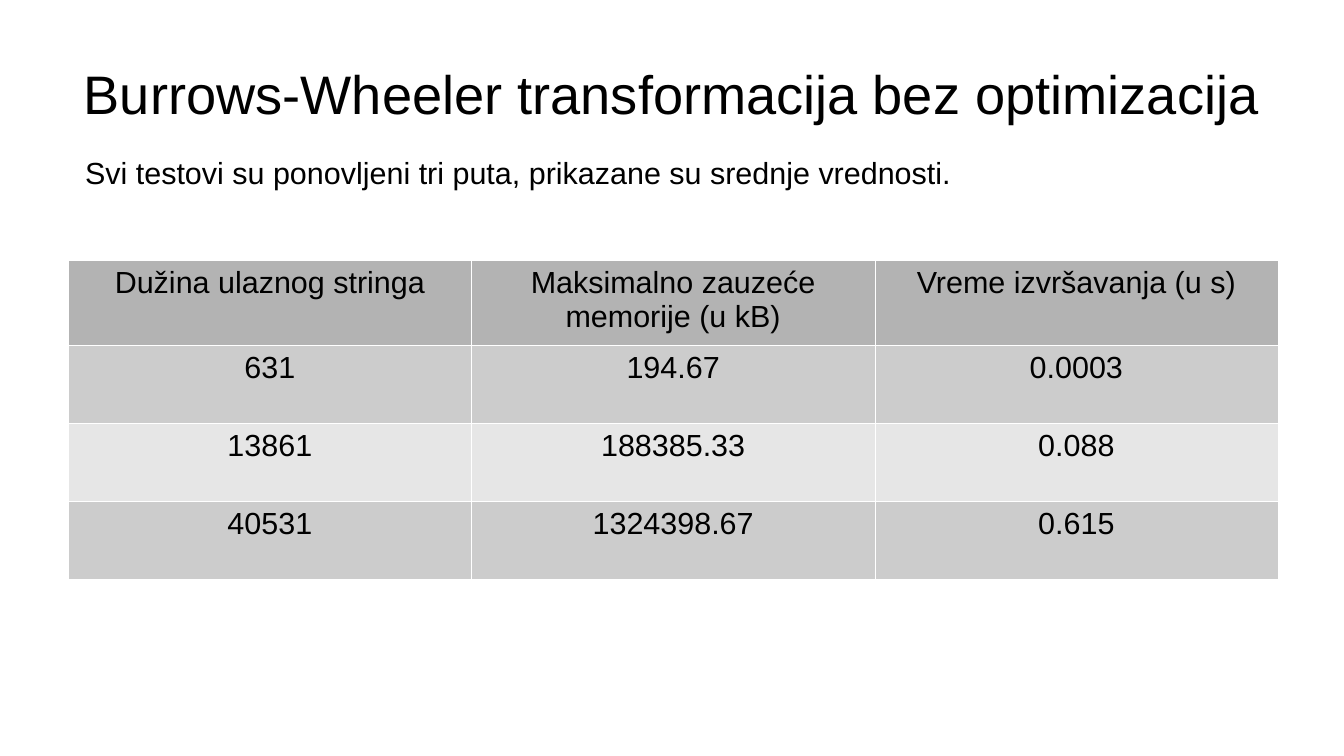
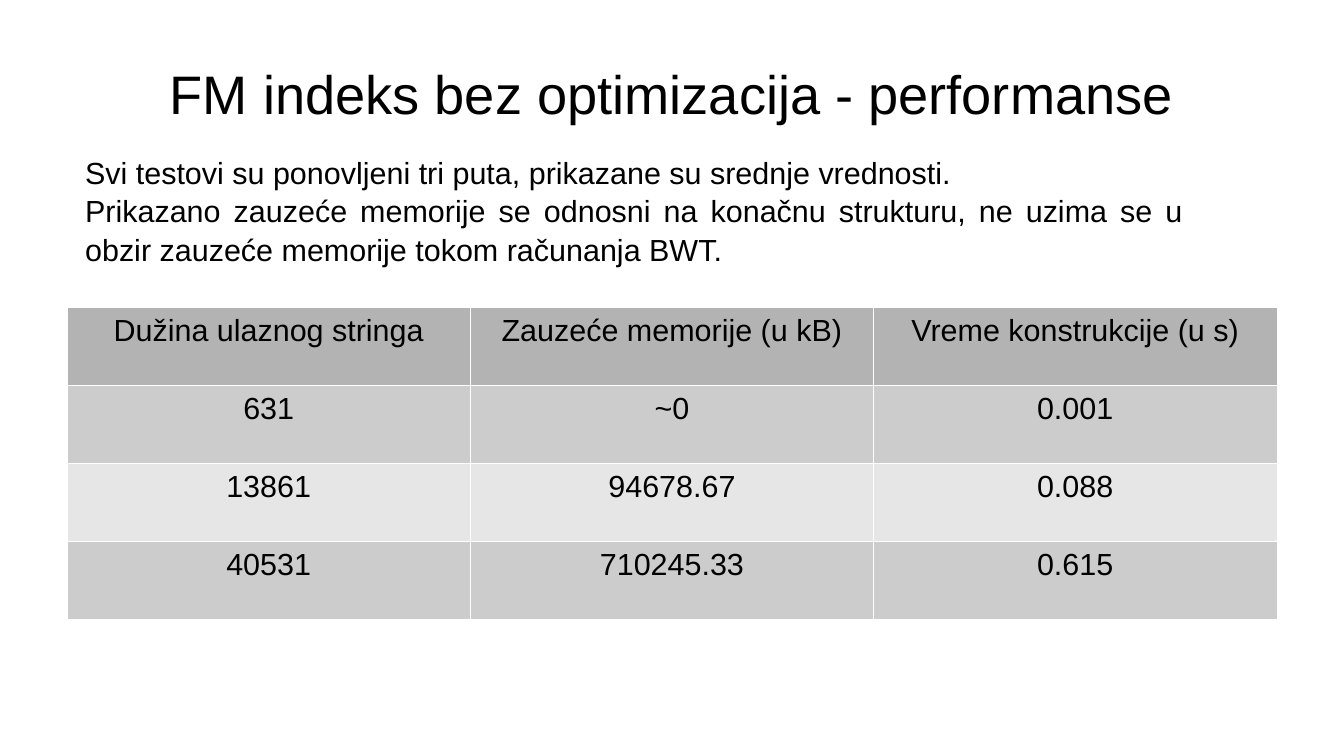
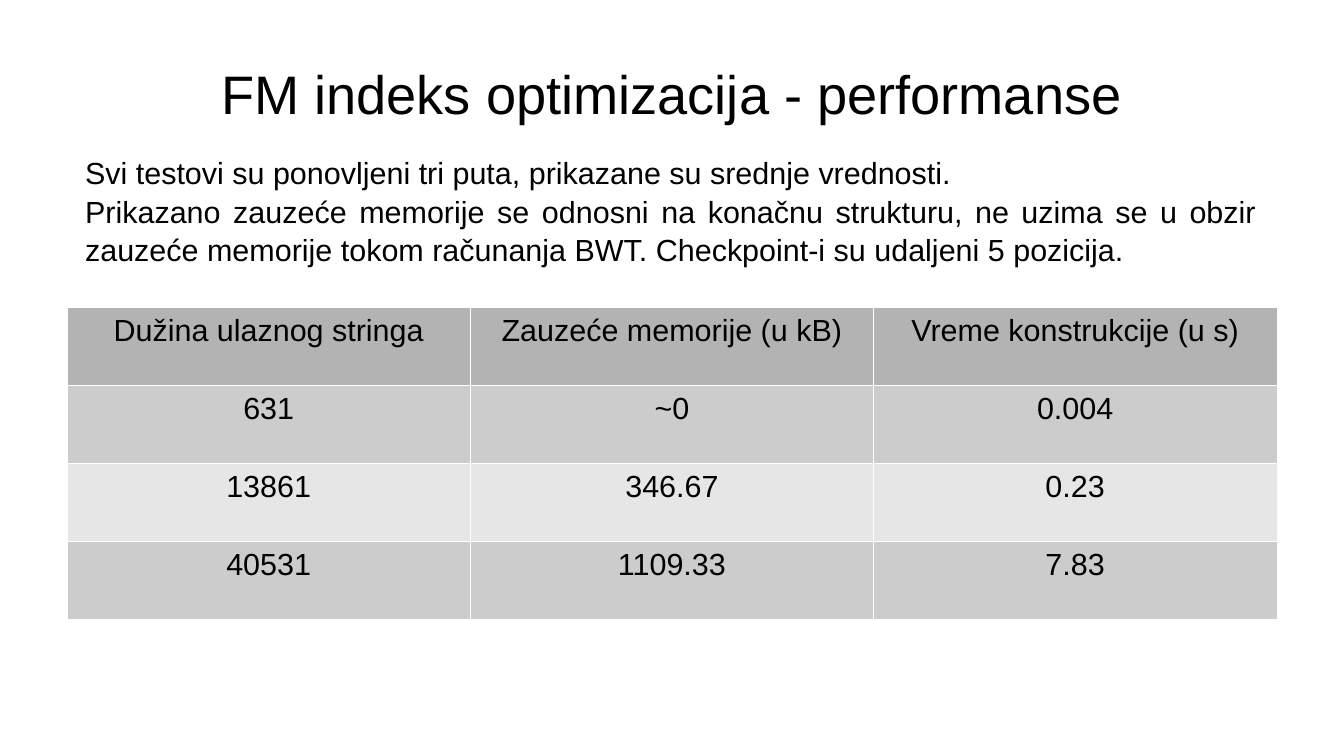
from lxml.etree import SubElement
from pptx import Presentation
from pptx.dml.color import RGBColor
from pptx.enum.text import MSO_ANCHOR as Anchor, PP_ALIGN as Align
from pptx.oxml.ns import qn
from pptx.util import Pt

BLACK = RGBColor(0x00, 0x00, 0x00)
WHITE = RGBColor(0xFF, 0xFF, 0xFF)
HEADER_GRAY = RGBColor(0xB3, 0xB3, 0xB3)
BAND_GRAYS = (RGBColor(0xCC, 0xCC, 0xCC), RGBColor(0xE6, 0xE6, 0xE6))
FONT = "Arial"
TITLE_SIZE, BODY_SIZE = 32, 18
BORDER_EMU = int(Pt(0.06))

PAGE_WIDTH, PAGE_HEIGHT = 793.44, 446.4
TITLE_BOX = (39.6, 18, 714.24, 74.16)
NOTE_LEFT, NOTE_TOP = 43.2, 86.4
TABLE_WIDTH, TABLE_HEIGHT = 714.24, 184.32

REPEATED = "Svi testovi su ponovljeni tri puta, prikazane su srednje vrednosti."
MEMORY = ("Prikazano zauzeće memorije se odnosni na konačnu strukturu, "
          "ne uzima se u obzir zauzeće memorije tokom računanja BWT.")
CHECKPOINTS = " Checkpoint-i su udaljeni 5 pozicija."
LENGTHS = ("631", "13861", "40531")
INDEX_HEADER = ("Dužina ulaznog stringa", "Zauzeće memorije (u kB)",
                "Vreme konstrukcije (u s)")

RESULTS = (
    dict(title="Burrows-Wheeler transformacija bez optimizacija",
         notes=(REPEATED,), note_size=(662.4, 27.36), note_align=Align.LEFT,
         table_at=(40.32, 153.36),
         header=("Dužina ulaznog stringa", "Maksimalno zauzeće memorije (u kB)",
                 "Vreme izvršavanja (u s)"),
         memory=("194.67", "188385.33", "1324398.67"),
         seconds=("0.0003", "0.088", "0.615")),
    dict(title="FM indeks bez optimizacija - performanse",
         notes=(REPEATED, MEMORY), note_size=(662.4, 67.68),
         note_align=Align.JUSTIFY, table_at=(39.6, 181.44),
         header=INDEX_HEADER,
         memory=("~0", "94678.67", "710245.33"),
         seconds=("0.001", "0.088", "0.615")),
    dict(title="FM indeks optimizacija - performanse",
         notes=(REPEATED, MEMORY + CHECKPOINTS), note_size=(705.6, 87.84),
         note_align=Align.JUSTIFY, table_at=(39.6, 181.44),
         header=INDEX_HEADER,
         memory=("~0", "346.67", "1109.33"),
         seconds=("0.004", "0.23", "7.83")),
)


def write(paragraph, text, size, align):
    """Add one styled run to an aligned paragraph."""
    paragraph.alignment = align
    run = paragraph.add_run()
    run.text = text
    run.font.name = FONT
    run.font.size = Pt(size)
    run.font.color.rgb = BLACK


def add_title(slide, box, title):
    """Centre the slide title in its box."""
    frame = slide.shapes.add_textbox(*map(Pt, box)).text_frame
    frame.word_wrap = True
    frame.vertical_anchor = Anchor.MIDDLE
    frame.margin_left = frame.margin_right = 0
    frame.margin_top = frame.margin_bottom = 0
    write(frame.paragraphs[0], title, TITLE_SIZE, Align.CENTER)


def add_notes(slide, box, notes, align):
    """Place the remarks on the measurements, one paragraph each."""
    frame = slide.shapes.add_textbox(*map(Pt, box)).text_frame
    frame.word_wrap = True
    for index, note in enumerate(notes):
        paragraph = frame.add_paragraph() if index else frame.paragraphs[0]
        paragraph.line_spacing = 1.05
        write(paragraph, note, BODY_SIZE, align)


def add_borders(cell):
    """Give a cell hairline white borders on all sides."""
    properties = cell._tc.get_or_add_tcPr()
    for position, side in enumerate(("a:lnL", "a:lnR", "a:lnT", "a:lnB")):
        line = SubElement(properties, qn(side), w=str(BORDER_EMU))
        fill = SubElement(line, qn("a:solidFill"))
        SubElement(fill, qn("a:srgbClr"), val=str(WHITE))
        properties.insert(position, line)


def add_measurements(slide, box, rows):
    """Fill the box with an even grid: header row, then gray bands."""
    table = slide.shapes.add_table(len(rows), len(rows[0]), *map(Pt, box)).table
    table.first_row = table.horz_banding = False
    for row_index, row in enumerate(rows):
        shade = BAND_GRAYS[(row_index - 1) % 2] if row_index else HEADER_GRAY
        for column_index, value in enumerate(row):
            cell = table.cell(row_index, column_index)
            cell.fill.solid()
            cell.fill.fore_color.rgb = shade
            add_borders(cell)
            write(cell.text_frame.paragraphs[0], value, BODY_SIZE, Align.CENTER)


def add_result_slide(deck, result):
    """Build one slide of title, remarks and measurements."""
    slide = deck.slides.add_slide(deck.slide_layouts[6])
    slide.background.fill.solid()
    slide.background.fill.fore_color.rgb = WHITE
    add_title(slide, TITLE_BOX, result["title"])
    add_notes(slide, (NOTE_LEFT, NOTE_TOP, *result["note_size"]),
              result["notes"], result["note_align"])
    rows = (result["header"], *zip(LENGTHS, result["memory"], result["seconds"]))
    add_measurements(slide, (*result["table_at"], TABLE_WIDTH, TABLE_HEIGHT), rows)


def main():
    """Build and save the deck."""
    deck = Presentation()
    deck.slide_width, deck.slide_height = Pt(PAGE_WIDTH), Pt(PAGE_HEIGHT)
    for result in RESULTS:
        add_result_slide(deck, result)
    deck.save("out.pptx")


main()
